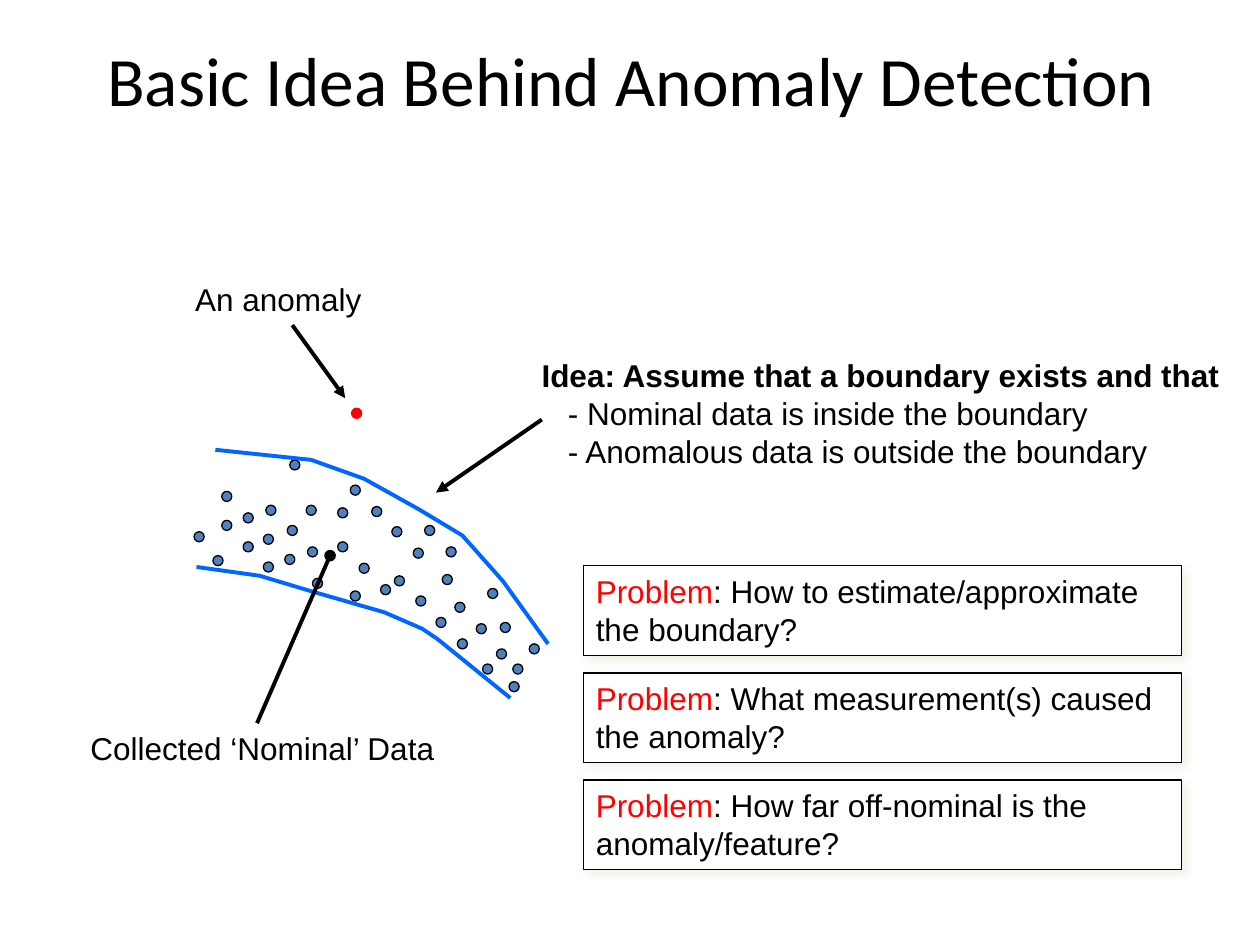
"""Build a slide that explains the basic idea behind anomaly detection."""
import pptx
import pptx.dml.color
import pptx.enum.shapes
import pptx.enum.text
import pptx.oxml
import pptx.oxml.ns
import pptx.util

WIDTH, HEIGHT = 10, 7.5
COLORS = {"black": "000000", "white": "FFFFFF", "red": "FF0000",
          "nominal": "4F81BD", "boundary": "0066FF", "shadow": "EEECE1"}
TITLE = "Basic Idea Behind Anomaly Detection"
LABELS = [
    ("An anomaly", (1.45, 2.17, 1.67, 0.4)),
    ("Collected ‘Nominal’ Data", (0.62, 5.74, 3.17, 0.4)),
]
IDEA = [
    [("Idea: Assume that a boundary exists and that", "black", True)],
    [("- Nominal data is inside the boundary", "black", False)],
    [("- Anomalous data is outside the boundary", "black", False)],
]
PROBLEMS = [
    "How to estimate/approximate the boundary?",
    "What measurement(s) caused the anomaly?",
    "How far off-nominal is the anomaly/feature?",
]
PROBLEM_GRID = {"left": 4.63, "top": 4.49, "width": 4.75, "height": 0.71, "pitch": 0.85}
DOT_SIZE = 0.08
NOMINAL_DOTS = [
    (3.61, 4.78), (3.78, 4.95), (3.97, 4.94), (4.04, 5.41), (1.69, 4.41),
    (2.48, 4.59), (4.2, 5.11), (3.83, 5.27), (2.68, 4.3), (2.85, 4.47),
    (3.02, 4.64), (4.07, 5.27), (3.13, 4.57), (3.3, 4.73), (3.46, 4.9),
    (3.63, 5.07), (3.37, 4.17), (3.54, 4.34), (3.94, 5.15), (3.87, 4.67),
    (2.78, 3.85), (2.95, 4.02), (3.11, 4.18), (3.28, 4.35), (2.3, 3.65),
    (3.51, 4.56), (2.43, 4.01), (2.68, 4.03), (2.11, 4.01), (2.28, 4.17),
    (2.44, 4.34), (2.78, 4.69), (1.76, 4.13), (1.93, 4.3), (2.09, 4.46),
    (1.54, 4.22), (1.76, 3.9), (1.93, 4.07), (2.09, 4.24), (2.26, 4.4),
]
ANOMALY_DOT = (2.79, 3.24)
BOUNDARIES = [
    [(1.56, 4.5), (2.06, 4.57), (2.46, 4.69), (3.05, 4.86), (3.35, 4.99), (3.47, 5.07), (4.05, 5.54)],
    [(1.71, 3.57), (2.47, 3.65), (2.89, 3.8), (3.32, 4.04), (3.67, 4.25), (3.99, 4.61), (4.35, 5.11)],
]
POINTERS = [
    ((2.04, 5.74), (2.62, 4.41), "oval"),
    ((4.3, 3.33), (3.46, 3.91), "triangle"),
    ((2.32, 2.58), (2.74, 3.16), "triangle"),
]


def color(name):
    return pptx.dml.color.RGBColor.from_string(COLORS[name])


def inches(values):
    return [pptx.util.Inches(value) for value in values]


def write(shape, paragraphs, font="Arial", size=18, align="LEFT", anchor="TOP", indents=()):
    frame = shape.text_frame
    frame.word_wrap = True
    frame.vertical_anchor = pptx.enum.text.MSO_ANCHOR[anchor]
    for index, runs in enumerate(paragraphs):
        paragraph = frame.add_paragraph() if index else frame.paragraphs[0]
        paragraph.alignment = pptx.enum.text.PP_ALIGN[align]
        if indents:
            paragraph._p.get_or_add_pPr().set("marL", str(pptx.util.Inches(indents[index])))
        for text, shade, bold in runs:
            run = paragraph.add_run()
            run.text = text
            run.font.name, run.font.size, run.font.bold = font, pptx.util.Pt(size), bold
            run.font.color.rgb = color(shade)


def add_text(slide, box, paragraphs, **text_format):
    write(slide.shapes.add_textbox(*inches(box)), paragraphs, **text_format)


def add_filled(slide, kind, box, fill, line="black"):
    shape = slide.shapes.add_shape(pptx.enum.shapes.MSO_SHAPE[kind], *inches(box))
    shape.shadow.inherit = False
    shape.fill.solid()
    shape.fill.fore_color.rgb = color(fill)
    shape.line.color.rgb = color(line)
    shape.line.width = pptx.util.Pt(0.75)
    return shape


def add_problem(slide, row, question):
    grid = PROBLEM_GRID
    top = grid["top"] + row * grid["pitch"]
    shape = add_filled(slide, "RECTANGLE", (grid["left"], top, grid["width"], grid["height"]), "white")
    effects = shape._element.spPr.find(pptx.oxml.ns.qn("a:effectLst"))
    effects.append(pptx.oxml.parse_xml(
        f'<a:outerShdw {pptx.oxml.ns.nsdecls("a")} blurRad="{pptx.util.Pt(5)}" '
        f'dist="{pptx.util.Pt(3)}" dir="2700000" algn="tl" rotWithShape="0">'
        f'<a:srgbClr val="{COLORS["shadow"]}"><a:alpha val="75000"/></a:srgbClr></a:outerShdw>'))
    write(shape, [[("Problem", "red", False), (f": {question}", "black", False)]])


def add_boundary(slide, points):
    start, *others = [inches(point) for point in points]
    builder = slide.shapes.build_freeform(*start)
    builder.add_line_segments(others, close=False)
    shape = builder.convert_to_shape()
    shape.shadow.inherit = False
    shape.fill.background()
    shape.line.color.rgb = color("boundary")
    shape.line.width = pptx.util.Pt(2.25)


def add_pointer(slide, start, end, head):
    connector = slide.shapes.add_connector(
        pptx.enum.shapes.MSO_CONNECTOR.STRAIGHT, *inches(start + end))
    connector.line.color.rgb = color("black")
    connector.line.width = pptx.util.Pt(2.25)
    namespace = pptx.oxml.ns.nsdecls("a")
    connector.line._get_or_add_ln().append(
        pptx.oxml.parse_xml(f'<a:tailEnd {namespace} type="{head}"/>'))
    connector._element.spPr.append(pptx.oxml.parse_xml(f"<a:effectLst {namespace}/>"))


def main():
    presentation = pptx.Presentation()
    presentation.slide_width, presentation.slide_height = inches((WIDTH, HEIGHT))
    slide = presentation.slides.add_slide(presentation.slide_layouts[6])
    add_text(slide, (0.35, 0, 9.32, HEIGHT / 6), [[(TITLE, "black", False)]],
             font="Calibri", size=39.6, align="CENTER", anchor="MIDDLE")
    for dot in NOMINAL_DOTS:
        add_filled(slide, "OVAL", (*dot, DOT_SIZE, DOT_SIZE), "nominal")
    for points in BOUNDARIES:
        add_boundary(slide, points)
    add_filled(slide, "OVAL", (*ANOMALY_DOT, DOT_SIZE, DOT_SIZE), "red", line="red")
    for text, box in LABELS:
        add_text(slide, box, [[(text, "black", False)]])
    add_text(slide, (4.2, 2.78, 5.66, 1.01), IDEA, indents=(0, 0.21, 0.21))
    for start, end, head in POINTERS:
        add_pointer(slide, start, end, head)
    for row, question in enumerate(PROBLEMS):
        add_problem(slide, row, question)
    presentation.save("out.pptx")


if __name__ == "__main__":
    main()
